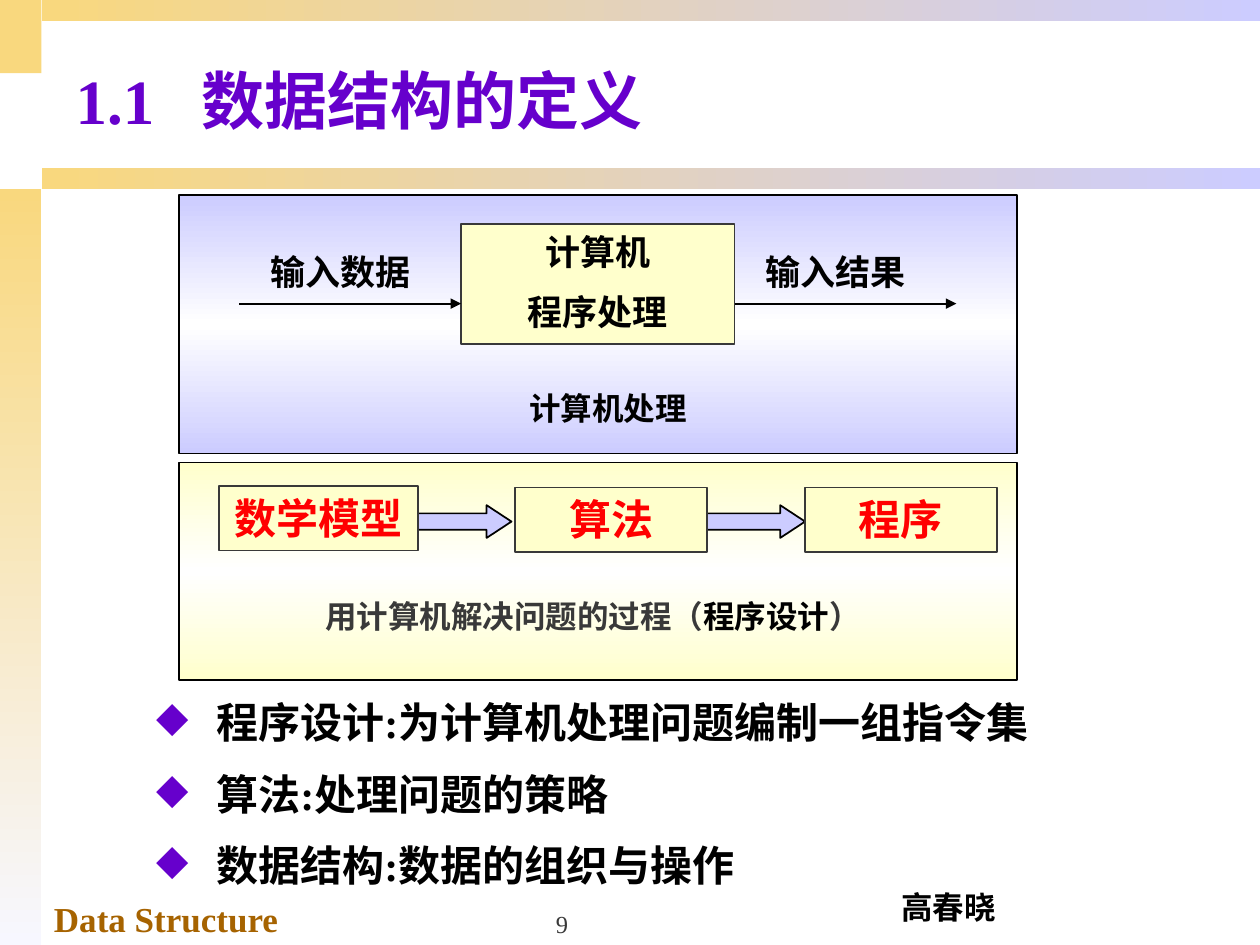
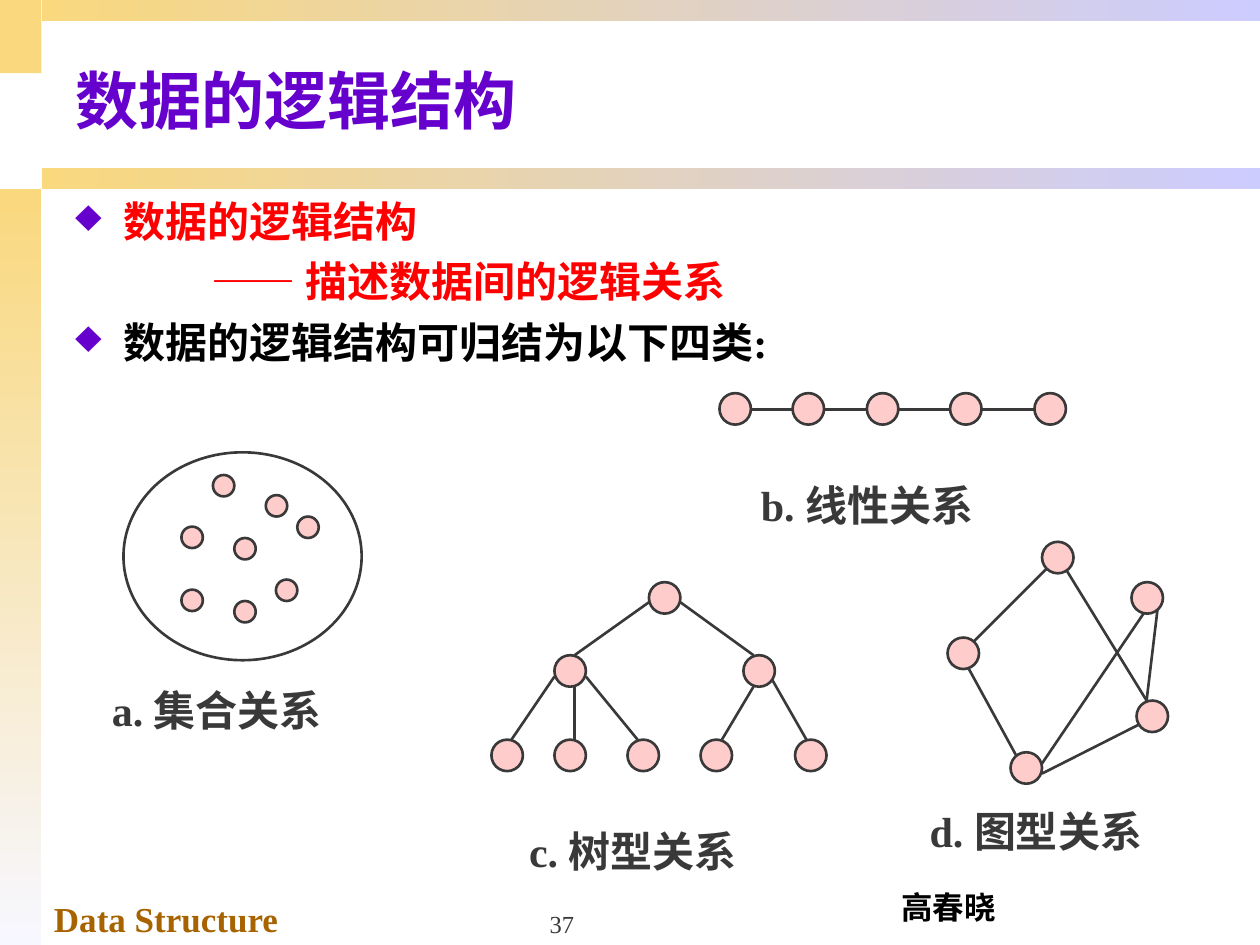
from lxml import etree
from pptx import Presentation
from pptx.dml.color import RGBColor
from pptx.enum.shapes import MSO_CONNECTOR, MSO_SHAPE
from pptx.enum.text import MSO_ANCHOR, PP_ALIGN
from pptx.oxml.ns import qn
from pptx.util import Inches, Pt

RECTANGLE, OVAL, RIGHT_ARROW = MSO_SHAPE.RECTANGLE, MSO_SHAPE.OVAL, MSO_SHAPE.RIGHT_ARROW
STRAIGHT = MSO_CONNECTOR.STRAIGHT
LEFT, CENTER = PP_ALIGN.LEFT, PP_ALIGN.CENTER
TOP, MIDDLE, BOTTOM = MSO_ANCHOR.TOP, MSO_ANCHOR.MIDDLE, MSO_ANCHOR.BOTTOM

BLACK = RGBColor(0x00, 0x00, 0x00)
WHITE = RGBColor(0xFF, 0xFF, 0xFF)
GREY = RGBColor(0x39, 0x39, 0x39)
RED = RGBColor(0xFF, 0x00, 0x00)
PURPLE = RGBColor(0x66, 0x00, 0xCC)
BROWN = RGBColor(0xA6, 0x63, 0x00)
GOLD = RGBColor(0xF9, 0xD8, 0x7E)
PALE = RGBColor(0xF7, 0xF7, 0xFF)
LAVENDER = RGBColor(0xCC, 0xCC, 0xFF)
CREAM = RGBColor(0xFF, 0xFF, 0xCC)
PINK = RGBColor(0xFF, 0xCC, 0xCC)

LATIN_FONT = "Times New Roman"
CHINESE_FONT = "Noto Sans CJK SC"
NODE_SIZE = 0.25
DOT_SIZE = 0.17


def write_paragraph(paragraph, text, size=24, color=BLACK, bold=True, align=LEFT,
                    before=0, line_spacing=None, margin=0, hanging=0, bullet=None,
                    bullet_size=100, tab=None, font=LATIN_FONT):
    """Write a string, or a list of (text, color) runs, into one paragraph."""
    paragraph.alignment = align
    paragraph.space_before = Pt(before)
    if line_spacing:
        paragraph.line_spacing = line_spacing
    properties = paragraph._p.get_or_add_pPr()
    properties.set("marL", str(Inches(margin)))
    properties.set("indent", str(-Inches(hanging)))
    if bullet:
        bullet_color = etree.SubElement(properties, qn("a:buClr"))
        etree.SubElement(bullet_color, qn("a:srgbClr"), val=str(PURPLE))
        etree.SubElement(properties, qn("a:buSzPct"), val=str(bullet_size * 1000))
        etree.SubElement(properties, qn("a:buChar"), char=bullet)
    if tab:
        tabs = etree.SubElement(properties, qn("a:tabLst"))
        etree.SubElement(tabs, qn("a:tab"), pos=str(Inches(tab)), algn="l")
    runs = [(text, color)] if isinstance(text, str) else text
    for run_text, run_color in runs:
        run = paragraph.add_run()
        run.text = run_text
        run.font.size = Pt(size)
        run.font.bold = bold
        run.font.color.rgb = run_color
        run.font.name = font
        etree.SubElement(run._r.get_or_add_rPr(), qn("a:ea"), typeface=CHINESE_FONT)


def fill_gradient(shape, colors, angle):
    """Spread the colors evenly; angle 0 runs rightwards, 90 downwards."""
    shape.fill.gradient()
    shape.fill.gradient_angle = (360 - angle) % 360
    stops = shape._element.spPr.find(qn("a:gradFill")).find(qn("a:gsLst"))
    for stop in list(stops):
        stops.remove(stop)
    for index, color in enumerate(colors):
        position = str(100000 * index // (len(colors) - 1))
        stop = etree.SubElement(stops, qn("a:gs"), pos=position)
        etree.SubElement(stop, qn("a:srgbClr"), val=str(color))


class Deck:
    def __init__(self):
        self.presentation = Presentation()
        self.presentation.slide_width = Inches(10)
        self.presentation.slide_height = Inches(7.5)
        self.slide = None

    def start_slide(self, title, number, **title_format):
        layout = self.presentation.slide_layouts[5]
        self.slide = self.presentation.slides.add_slide(layout)
        self.shape(0, 0, 0.33, 0.58, fill=GOLD)
        self.shape(0, 1.5, 0.33, 6, gradient=(GOLD, PALE))
        for top in (1.33, 0):
            self.shape(0.33, top, 9.67, 0.17, gradient=(GOLD, LAVENDER), angle=0)
        self.text(0.33, 7.07, 3.5, 0.43, "Data Structure", size=20, color=BROWN)
        self.text(7.05, 7, 0.96, 0.4, "高春晓", size=18, align=CENTER,
                  font=CHINESE_FONT, wrap=False)
        self.text(3.42, 7, 2.08, 0.5, number, size=14, color=GREY, bold=False,
                  align=CENTER, anchor=BOTTOM)
        placeholder = self.slide.shapes.title
        placeholder.left, placeholder.top = Inches(0.5), Inches(0.25)
        placeholder.width, placeholder.height = Inches(9.5), Inches(1.07)
        placeholder.text_frame.vertical_anchor = MIDDLE
        write_paragraph(placeholder.text_frame.paragraphs[0], title, size=36,
                        color=PURPLE, **title_format)

    def shape(self, left, top, width, height, kind=RECTANGLE, fill=WHITE, gradient=None,
              angle=90, line=None, line_width=1.0):
        shape = self.slide.shapes.add_shape(
            kind, Inches(left), Inches(top), Inches(width), Inches(height))
        shape.shadow.inherit = False
        if gradient:
            fill_gradient(shape, gradient, angle)
        else:
            shape.fill.solid()
            shape.fill.fore_color.rgb = fill
        if line is None:
            shape.line.fill.background()
        else:
            shape.line.color.rgb = line
            shape.line.width = Pt(line_width)
        return shape

    def text(self, left, top, width, height, *paragraphs, **text_format):
        box = self.slide.shapes.add_textbox(
            Inches(left), Inches(top), Inches(width), Inches(height))
        self.fill_text(box, paragraphs, **text_format)

    def fill_text(self, shape, paragraphs, anchor=TOP, wrap=True, before=0, **text_format):
        """Each item is a text, or a (text, format) pair for a paragraph that differs."""
        frame = shape.text_frame
        frame.word_wrap = wrap
        frame.vertical_anchor = anchor
        for index, item in enumerate(paragraphs):
            paragraph = frame.add_paragraph() if index else frame.paragraphs[0]
            text, own_format = item if isinstance(item, tuple) else (item, {})
            settings = {"before": before if index else 0, **text_format, **own_format}
            write_paragraph(paragraph, text, **settings)

    def box(self, left, top, width, height, *paragraphs, **text_format):
        shape = self.shape(left, top, width, height, fill=CREAM, line=GREY)
        self.fill_text(shape, paragraphs, align=CENTER, **text_format)

    def connect(self, start_x, start_y, end_x, end_y, color=GREY, width=1.5, arrow=False):
        connector = self.slide.shapes.add_connector(
            STRAIGHT, Inches(start_x), Inches(start_y), Inches(end_x), Inches(end_y))
        connector.line.color.rgb = color
        connector.line.width = Pt(width)
        properties = connector._element.spPr
        if arrow:
            line = properties.find(qn("a:ln"))
            etree.SubElement(line, qn("a:tailEnd"), type="triangle")
        etree.SubElement(properties, qn("a:effectLst"))

    def nodes(self, positions, size=NODE_SIZE):
        for left, top in positions:
            self.shape(left, top, size, size, OVAL, PINK, line=GREY, line_width=1.5)

    def network(self, edges, positions):
        for edge in edges:
            self.connect(*edge)
        self.nodes(positions)

    def caption(self, left, top, text):
        self.text(left, top, 2.09, 0.5, text, color=GREY)


def add_definition_slide(deck):
    deck.start_slide("1.1\t数据结构的定义", "9", tab=1.1)

    deck.shape(1.42, 1.55, 6.65, 2.05, gradient=(LAVENDER, WHITE, LAVENDER), line=BLACK)
    deck.box(3.66, 1.78, 2.17, 0.95, "计算机", "程序处理", size=20, before=10)
    for arrow_left, label_left, label in ((1.9, 1.98, "输入数据"), (5.83, 5.91, "输入结果")):
        deck.connect(arrow_left, 2.41, arrow_left + 1.76, 2.41, BLACK, 1, arrow=True)
        deck.text(label_left, 1.94, 1.44, 0.43, label, size=20, align=CENTER)
    deck.text(3.42, 3.04, 2.81, 0.4, "计算机处理", size=18, align=CENTER)

    deck.shape(1.42, 3.67, 6.65, 1.73, gradient=(CREAM, WHITE, CREAM), line=BLACK)
    for left in (3.26, 5.59):
        arrow = deck.shape(left, 4.01, 0.8, 0.26, RIGHT_ARROW, LAVENDER, line=BLACK)
        arrow.adjustments[0] = 0.5
        arrow.adjustments[1] = 0.76
    for left, top, width, step in ((1.74, 3.86, 1.58, "数学模型"),
                                   (4.09, 3.87, 1.52, "算法"),
                                   (6.39, 3.87, 1.52, "程序")):
        deck.box(left, top, width, 0.51, step, color=RED)
    process = [("用计算机解决问题的过程（", GREY), ("程序设计", BLACK), ("）", GREY)]
    deck.text(2.3, 4.69, 4.81, 0.4, process, size=18, align=CENTER)

    deck.text(1.14, 5.48, 7.64, 1.7,
              "程序设计:为计算机处理问题编制一组指令集",
              "算法:处理问题的策略",
              "数据结构:数据的组织与操作",
              before=12, bullet="◆", margin=0.48, hanging=0.48)


def add_logical_structure_slide(deck):
    deck.start_slide("数据的逻辑结构", "37")
    bulleted = {"bullet": "♦", "bullet_size": 110, "margin": 0.38, "hanging": 0.38}
    deck.text(0.5, 1.5, 9.49, 1.5,
              ("数据的逻辑结构", {"color": RED, **bulleted}),
              ("—— 描述数据间的逻辑关系", {"color": RED, "margin": 1.08, "line_spacing": 1.2}),
              ("数据的逻辑结构可归结为以下四类:", {"before": 5.7, **bulleted}))

    deck.shape(0.98, 3.59, 1.89, 1.65, OVAL, line=GREY, line_width=1.5)
    deck.nodes([(1.69, 3.77), (1.44, 4.18), (1.86, 4.27), (2.36, 4.1),
                (2.19, 4.6), (1.44, 4.68), (2.11, 3.93), (1.86, 4.77)], DOT_SIZE)
    deck.caption(0.79, 5.38, "a. 集合关系")

    deck.network([(5.93, 3.25, 8.43, 3.25)],
                 [(left, 3.12) for left in (5.71, 6.29, 6.88, 7.54, 8.21)])
    deck.caption(5.94, 3.76, "b. 线性关系")

    tree_edges = [(5.15, 4.78, 4.56, 5.2), (5.4, 4.78, 5.98, 5.2),
                  (4.4, 5.37, 4.06, 5.87), (4.56, 5.45, 4.56, 5.87),
                  (4.65, 5.37, 5.06, 5.87), (5.98, 5.45, 5.73, 5.87),
                  (6.08, 5.31, 6.4, 5.87)]
    leaves = [(left, 5.87) for left in (3.9, 4.4, 4.98, 5.56, 6.31)]
    deck.network(tree_edges, [(5.15, 4.62), (4.4, 5.2), (5.9, 5.2)] + leaves)
    deck.caption(4.1, 6.5, "c. 树型关系")

    graph_edges = [(8.43, 4.47, 9.1, 5.56), (8.35, 4.47, 7.64, 5.18),
                   (7.69, 5.31, 8.1, 6.06), (9.19, 4.81, 9.1, 5.56),
                   (8.27, 6.06, 9.13, 4.79), (9.1, 5.72, 8.27, 6.14)]
    deck.network(graph_edges, [(8.27, 4.3), (8.98, 4.62), (8.02, 5.97),
                               (7.52, 5.06), (9.02, 5.56)])
    deck.caption(7.28, 6.34, "d. 图型关系")


def main():
    deck = Deck()
    add_definition_slide(deck)
    add_logical_structure_slide(deck)
    deck.presentation.save("out.pptx")


if __name__ == "__main__":
    main()
